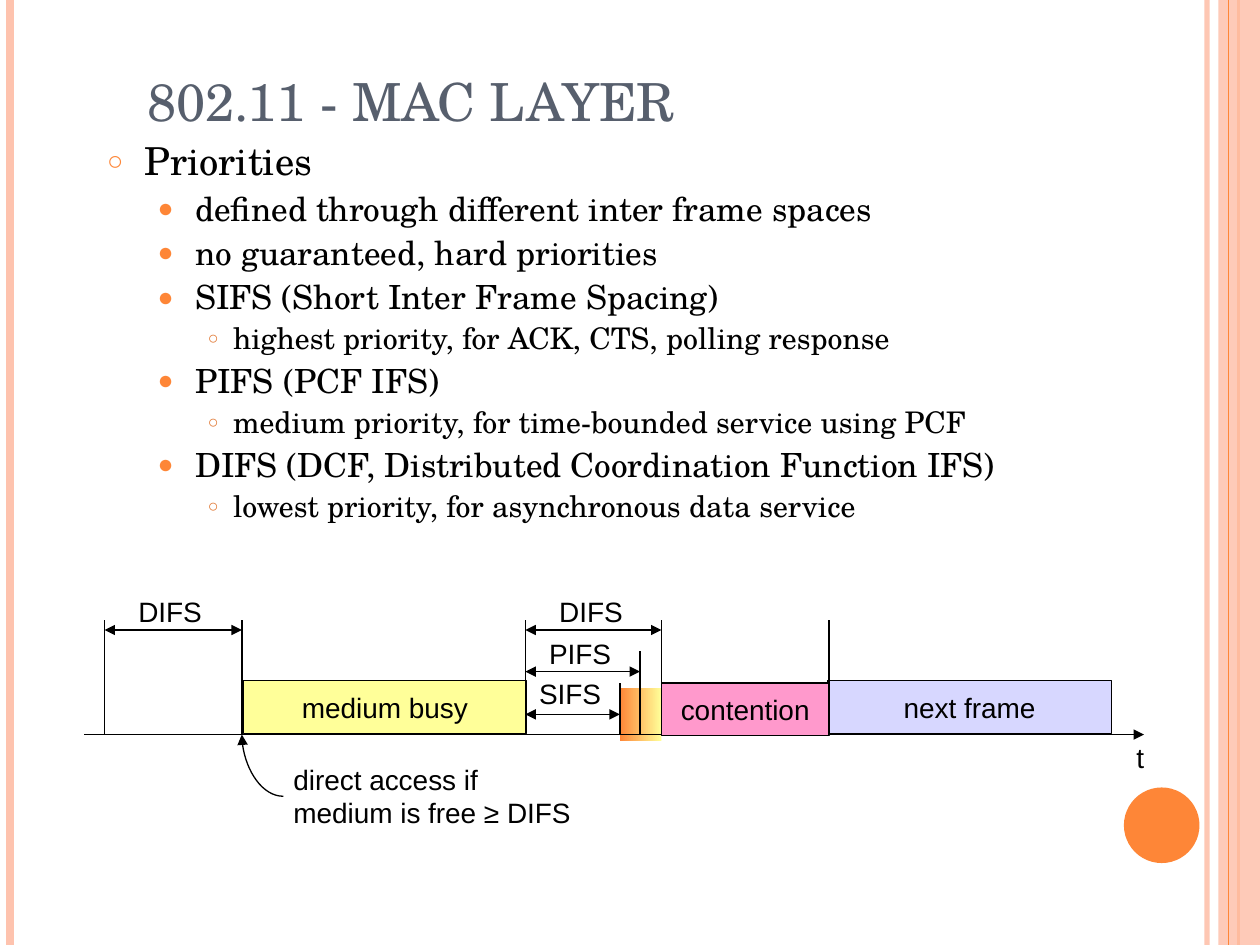
from lxml import etree
from pptx import Presentation
from pptx import util as u
from pptx.dml.color import RGBColor
from pptx.enum import shapes, text
from pptx.oxml.ns import qn

SERIF, SANS = "TeX Gyre Schola", "Arial"
ORANGE, PEACH, BLACK = "FE8637", "FEC3AE", "000000"
AXIS_Y, TICK_TOP = 5.83, 4.92
LEVELS = [
    (22, 0.3, 0.3, 6, "○", ORANGE, 70),
    (19, 0.7, 0.3, 4.8, "●", ORANGE, 80),
    (17, 1, 0.2, 4.2, "○", "E0752F", 60),
]
BODY = [
    (0, "Priorities"),
    (1, "defined through different inter frame spaces"),
    (1, "no guaranteed, hard priorities"),
    (1, "SIFS (Short Inter Frame Spacing)"),
    (2, "highest priority, for ACK, CTS, polling response"),
    (1, "PIFS (PCF IFS)"),
    (2, "medium priority, for time-bounded service using PCF"),
    (1, "DIFS (DCF, Distributed Coordination Function IFS)"),
    (2, "lowest priority, for asynchronous data service"),
]


def rgb(value):
    """Return the colour for a hex string."""
    return RGBColor.from_string(value)


def set_alpha(sp, percent):
    """Make the first colour of a shape partly transparent."""
    color = next(sp._element.spPr.iter(qn("a:srgbClr")))
    etree.SubElement(color, qn("a:alpha")).set("val", str(percent * 1000))


def place(sp, x, y, w, h):
    """Move and size a shape, in inches."""
    sp.left, sp.top, sp.width, sp.height = (u.Inches(v) for v in (x, y, w, h))


def style(p, size, font, color=BLACK):
    """Format every run of a paragraph."""
    for r in p.runs:
        r.font.size, r.font.name = u.Pt(size), font
        r.font.color.rgb = rgb(color)


def add_line(slide, start, end, color=BLACK, width=0.75, ends=(), curved=False):
    """Draw a connector with arrowheads at the named ends."""
    kind = shapes.MSO_CONNECTOR.CURVE if curved else shapes.MSO_CONNECTOR.STRAIGHT
    sp = slide.shapes.add_connector(kind, *(u.Inches(v) for v in start + end))
    sp.line.color.rgb = rgb(color)
    sp.line.width = u.Pt(width)
    spPr = sp._element.spPr
    for name in ends:
        etree.SubElement(spPr.find(qn("a:ln")), qn("a:" + name)).set("type", "triangle")
    etree.SubElement(spPr, qn("a:effectLst"))
    if curved:
        spPr.find(qn("a:prstGeom")).set("prst", "curvedConnector2")
    return sp


def add_block(slide, box, fill, label="", outline=None, kind=shapes.MSO_SHAPE.RECTANGLE):
    """Draw a filled shape with an optional outline and centred label."""
    sp = slide.shapes.add_shape(kind, *(u.Inches(v) for v in box))
    sp.shadow.inherit = False
    sp.fill.solid()
    sp.fill.fore_color.rgb = rgb(fill)
    if outline:
        sp.line.color.rgb = rgb(outline)
        sp.line.width = u.Pt(0.75)
    else:
        sp.line.fill.background()
    if label:
        tf = sp.text_frame
        tf.text, tf.word_wrap = label, False
        tf.vertical_anchor = text.MSO_ANCHOR.MIDDLE
        p = tf.paragraphs[0]
        p.alignment = text.PP_ALIGN.CENTER
        style(p, 16, SANS)
    return sp


def add_label(slide, content, x, y, w, h=0.37):
    """Add an unwrapped diagram label."""
    sp = slide.shapes.add_textbox(*(u.Inches(v) for v in (x, y, w, h)))
    tf = sp.text_frame
    tf.text, tf.word_wrap = content, False
    tf.auto_size = text.MSO_AUTO_SIZE.SHAPE_TO_FIT_TEXT
    style(tf.paragraphs[0], 16, SANS)


def add_bullet(p, level, content, first):
    """Fill a list paragraph with its bullet and level format."""
    size, margin, hang, before, char, color, percent = LEVELS[level]
    p.text, p.level = content, level
    pPr = p._p.get_or_add_pPr()
    pPr.set("marL", str(u.Inches(margin)))
    pPr.set("indent", str(-u.Inches(hang)))
    clr = etree.SubElement(pPr, qn("a:buClr"))
    etree.SubElement(clr, qn("a:srgbClr")).set("val", color)
    etree.SubElement(pPr, qn("a:buSzPct")).set("val", str(percent * 1000))
    etree.SubElement(pPr, qn("a:buChar")).set("char", char)
    p.line_spacing = 0.9
    p.space_before = u.Pt(0 if first else before)
    style(p, size, SERIF)


def add_frame(slide):
    """Draw the stripes and disc at the slide edges."""
    def stripe(x, color, width):
        """Draw a full-height vertical line."""
        return add_line(slide, (x, 0), (x, 7.5), color, width)

    set_alpha(stripe(9.58, PEACH, 3), 93)
    stripe(0.08, PEACH, 4.5)
    stripe(9.83, ORANGE, 1.5)
    set_alpha(add_block(slide, (9.67, 0, 0.33, 7.5), PEACH), 87)
    stripe(9.75, ORANGE, 0.75)
    add_block(slide, (8.92, 6.25, 0.6, 0.6), ORANGE, kind=shapes.MSO_SHAPE.OVAL)


def fill_text(slide):
    """Fill the title and the bulleted list."""
    title, body = slide.placeholders
    place(title, 1.07, 0.5, 8.19, 0.6)
    tf = title.text_frame
    tf.text = "802.11 - MAC LAYER"
    tf.vertical_anchor = text.MSO_ANCHOR.BOTTOM
    tf.auto_size = text.MSO_AUTO_SIZE.NONE
    tf.paragraphs[0].alignment = text.PP_ALIGN.LEFT
    style(tf.paragraphs[0], 30, SERIF, "575F6D")

    place(body, 0.75, 1.08, 8.5, 3.17)
    tf = body.text_frame
    tf.auto_size = text.MSO_AUTO_SIZE.NONE
    for i, (level, content) in enumerate(BODY):
        add_bullet(tf.add_paragraph() if i else tf.paragraphs[0], level, content, i == 0)


def add_timeline(slide):
    """Draw the medium access timeline."""
    fade = add_block(slide, (4.92, 5.46, 0.33, 0.42), ORANGE)
    fade.fill.gradient()
    fade.fill.gradient_angle = 0
    for stop, color in zip(fade.fill.gradient_stops, (ORANGE, "FFFF99")):
        stop.color.rgb = rgb(color)

    add_line(slide, (0.67, AXIS_Y), (9.08, AXIS_Y), ends=["tailEnd"])
    add_label(slide, "t", 8.92, AXIS_Y, 0.26)
    for label, x, y, w, fill in [
        ("medium busy", 1.93, 5.4, 2.25, "FFFF99"),
        ("next frame", 6.57, 5.4, 2.25, "D7D7FF"),
        ("contention", 5.25, 5.42, 1.33, "FF99CC"),
    ]:
        add_block(slide, (x, y, w, 0.42), fill, label, BLACK)
    ticks = {x: TICK_TOP for x in (0.83, 1.92, 4.17, 5.25, 6.58)}
    ticks.update({5.08: 5.17, 4.92: 5.42})
    for x, top in ticks.items():
        add_line(slide, (x, AXIS_Y), (x, top))
    for label, x1, x2, y, label_x, label_y in [
        ("DIFS", 0.83, 1.92, 5, 1, 4.67),
        ("DIFS", 4.17, 5.25, 5, 4.34, 4.67),
        ("PIFS", 4.17, 5.08, 5.33, 4.26, 5),
        ("SIFS", 4.17, 4.92, 5.67, 4.18, 5.32),
    ]:
        add_line(slide, (x1, y), (x2, y), ends=["headEnd", "tailEnd"])
        add_label(slide, label, label_x, label_y, 0.74)
    add_label(slide, "direct access if\vmedium is free ≥ DIFS", 2.23, 6, 2.46, 0.64)
    add_line(slide, (2.25, 6.32), (1.92, AXIS_Y), ends=["tailEnd"], curved=True)


def main():
    """Build and save the slide."""
    prs = Presentation()
    prs.slide_width, prs.slide_height = u.Inches(10), u.Inches(7.5)
    slide = prs.slides.add_slide(prs.slide_layouts[1])
    add_frame(slide)
    fill_text(slide)
    add_timeline(slide)
    prs.save("out.pptx")


if __name__ == "__main__":
    main()
